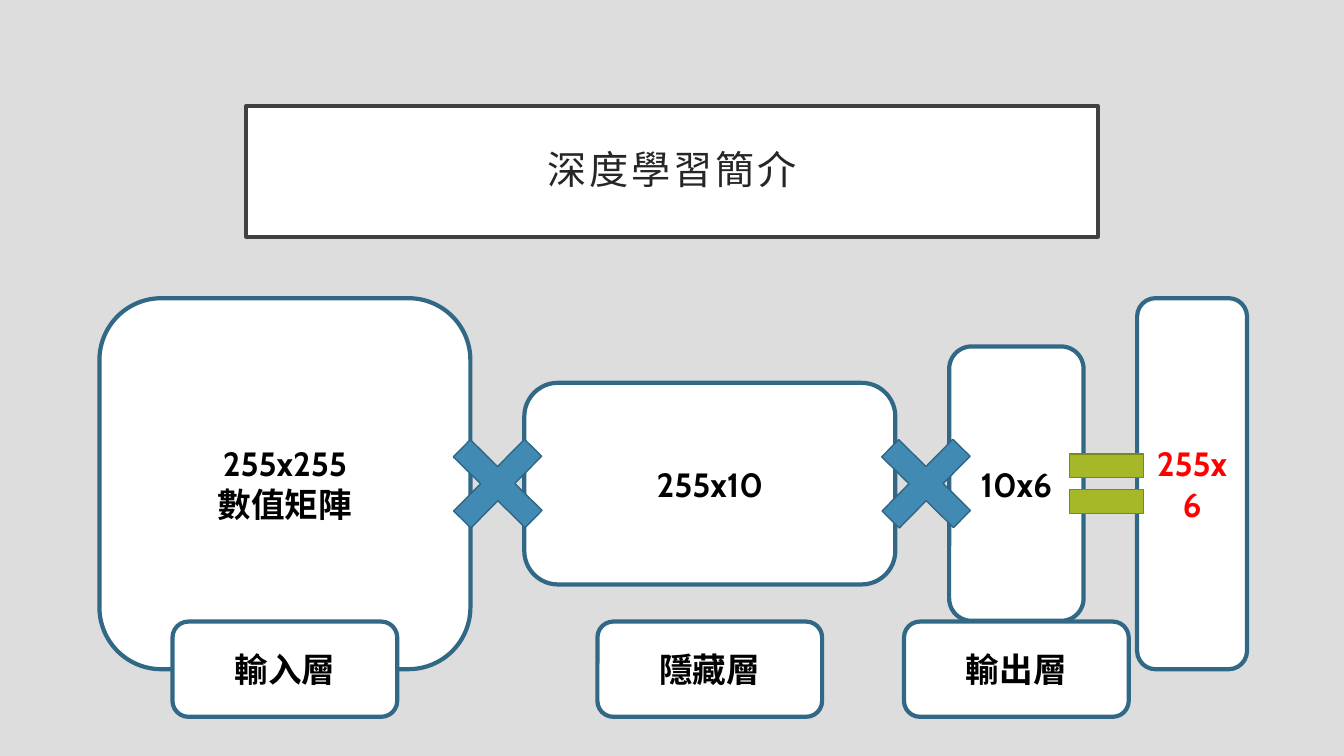
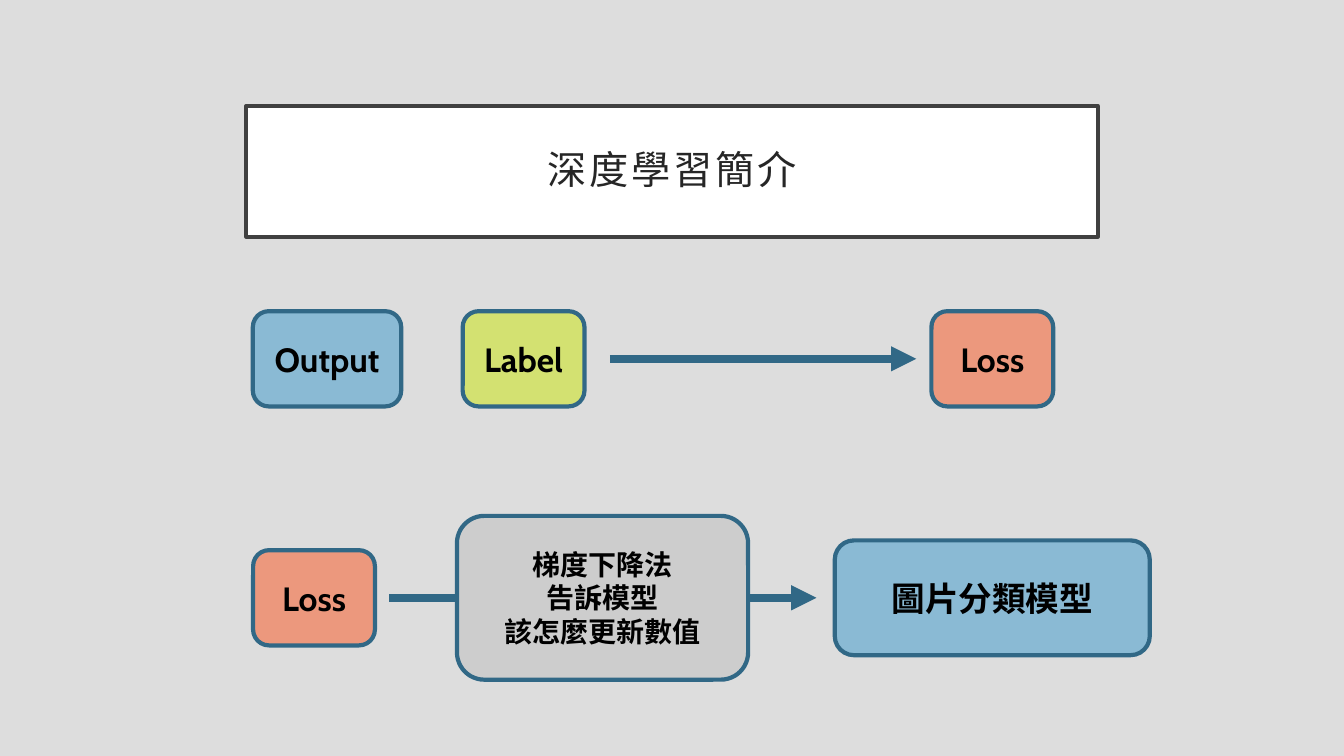
from dataclasses import dataclass

from lxml.etree import SubElement
from pptx import Presentation
from pptx.dml.color import RGBColor as RGB
from pptx.enum.shapes import MSO_CONNECTOR as LINE, MSO_SHAPE as SHAPE
from pptx.enum.text import MSO_ANCHOR as ANCHOR, PP_ALIGN as ALIGN
from pptx.oxml.ns import qn
from pptx.util import Pt


@dataclass(frozen=True)
class Theme:
    font: str = "Cabin"
    page: str = "DDDDDD"
    white: str = "FFFFFF"
    black: str = "000000"
    red: str = "FF0000"
    title_text: str = "262626"
    title_edge: str = "404040"
    edge: str = "316886"
    times: str = "418AB3"
    times_edge: str = "306684"
    equals: str = "A6B727"
    equals_edge: str = "7B871D"
    blue: str = "8ABAD4"
    lime: str = "D3E171"
    coral: str = "EC987D"
    grey: str = "CDCDCD"
    title_size: int = 28
    body_size: int = 24
    small_size: int = 20


T = Theme()


def assign(obj, formats):
    for name, value in formats.items():
        setattr(obj, name, value)


class Deck:
    def __init__(self, theme):
        self.theme = theme
        self.prs = Presentation()
        assign(self.prs, {"slide_width": Pt(960), "slide_height": Pt(540)})

    def slide(self, title):
        t = self.theme
        self.s = self.prs.slides.add_slide(self.prs.slide_layouts[6])
        fill = self.s.background.fill
        fill.solid()
        fill.fore_color.rgb = RGB.from_string(t.page)
        sp = self.shape(SHAPE.RECTANGLE, 480, 122.4, 608.4, 93.6,
                        t.white, t.title_edge, 2.5)
        self.text(sp, [title], t.title_size, t.title_text, bold=False,
                  inset=14.4, spacing=0.9, tracking=2)

    def shape(self, kind, cx, cy, w, h, fill, edge, weight):
        sp = self.s.shapes.add_shape(
            kind, Pt(cx - w / 2), Pt(cy - h / 2), Pt(w), Pt(h))
        sp.shadow.inherit = False
        sp.fill.solid()
        sp.fill.fore_color.rgb = RGB.from_string(fill)
        sp.line.color.rgb = RGB.from_string(edge)
        sp.line.width = Pt(weight)
        return sp

    def text(self, sp, lines, size, color, bold=True, inset=None,
             spacing=None, tracking=None):
        tf = sp.text_frame
        assign(tf, {"word_wrap": True, "vertical_anchor": ANCHOR.MIDDLE})
        if inset is not None:
            assign(tf, {f"margin_{side}": Pt(inset)
                        for side in ("left", "top", "right", "bottom")})
        for i, line in enumerate(lines):
            p = tf.add_paragraph() if i else tf.paragraphs[0]
            assign(p, {"alignment": ALIGN.CENTER, "line_spacing": spacing})
            r = p.add_run()
            r.text = line
            assign(r.font, {"name": self.theme.font, "size": Pt(size), "bold": bold})
            r.font.color.rgb = RGB.from_string(color)
            if tracking:
                r.font._element.set("spc", str(tracking * 100))

    def box(self, lines, cx, cy, w, h, fill=T.white, color=T.black,
            size=T.body_size):
        sp = self.shape(SHAPE.ROUNDED_RECTANGLE, cx, cy, w, h,
                        fill, self.theme.edge, 3)
        self.text(sp, lines, size, color)

    def times(self, cx, cy):
        sp = self.shape(SHAPE.CROSS, cx, cy, 72, 72,
                        self.theme.times, self.theme.times_edge, 1)
        sp.adjustments[0] = 0.38
        sp.rotation = 44.6

    def equals(self, cx, cy):
        self.shape(SHAPE.MATH_EQUAL, cx, cy, 72, 72,
                   self.theme.equals, self.theme.equals_edge, 1)

    def arrow(self, x1, x2, y):
        c = self.s.shapes.add_connector(LINE.STRAIGHT, Pt(x1), Pt(y), Pt(x2), Pt(y))
        c.line.color.rgb = RGB.from_string(self.theme.edge)
        c.line.width = Pt(6)
        SubElement(c.line._get_or_add_ln(), qn("a:tailEnd"), type="triangle")
        SubElement(c._element.spPr, qn("a:effectLst"))


def matrix_slide(deck):
    deck.slide("深度學習簡介")
    mid, caption_y = 345.5, 478
    layers = [
        (["255x255", "數值矩陣"], "輸入層", 203.5, 265, 265),
        (["255x10"], "隱藏層", 507, 265, 144),
        (["10x6"], "輸出層", 726, 96, 196),
    ]
    for lines, caption, cx, w, h in layers:
        deck.box(lines, cx, mid, w, h)
        deck.box([caption], cx, caption_y, 160.5, 68)
    deck.box(["255x6"], 851.5, mid, 78.5, 265, color=T.red)
    for cx in (355.5, 661.5):
        deck.times(cx, mid)
    deck.equals(790.5, mid)


def loss_slide(deck):
    deck.slide("深度學習簡介")
    top, bottom = 256.3, 427
    deck.box(["Output"], 233.6, top, 106, 68, T.blue)
    deck.box(["Label"], 374, top, 87, 68, T.lime)
    deck.arrow(435.6, 654.5, top)
    deck.box(["Loss"], 708.8, top, 87, 68, T.coral)
    deck.box(["Loss"], 224.3, bottom, 87, 68, T.coral)
    deck.arrow(278, 583.2, bottom)
    deck.box(["梯度下降法", "告訴模型", "該怎麼更新數值"], 430.4, bottom, 208, 117,
             T.grey, size=T.small_size)
    deck.box(["圖片分類模型"], 708.8, bottom, 225, 82, T.blue)


def main():
    deck = Deck(T)
    matrix_slide(deck)
    loss_slide(deck)
    deck.prs.save("out.pptx")


if __name__ == "__main__":
    main()
